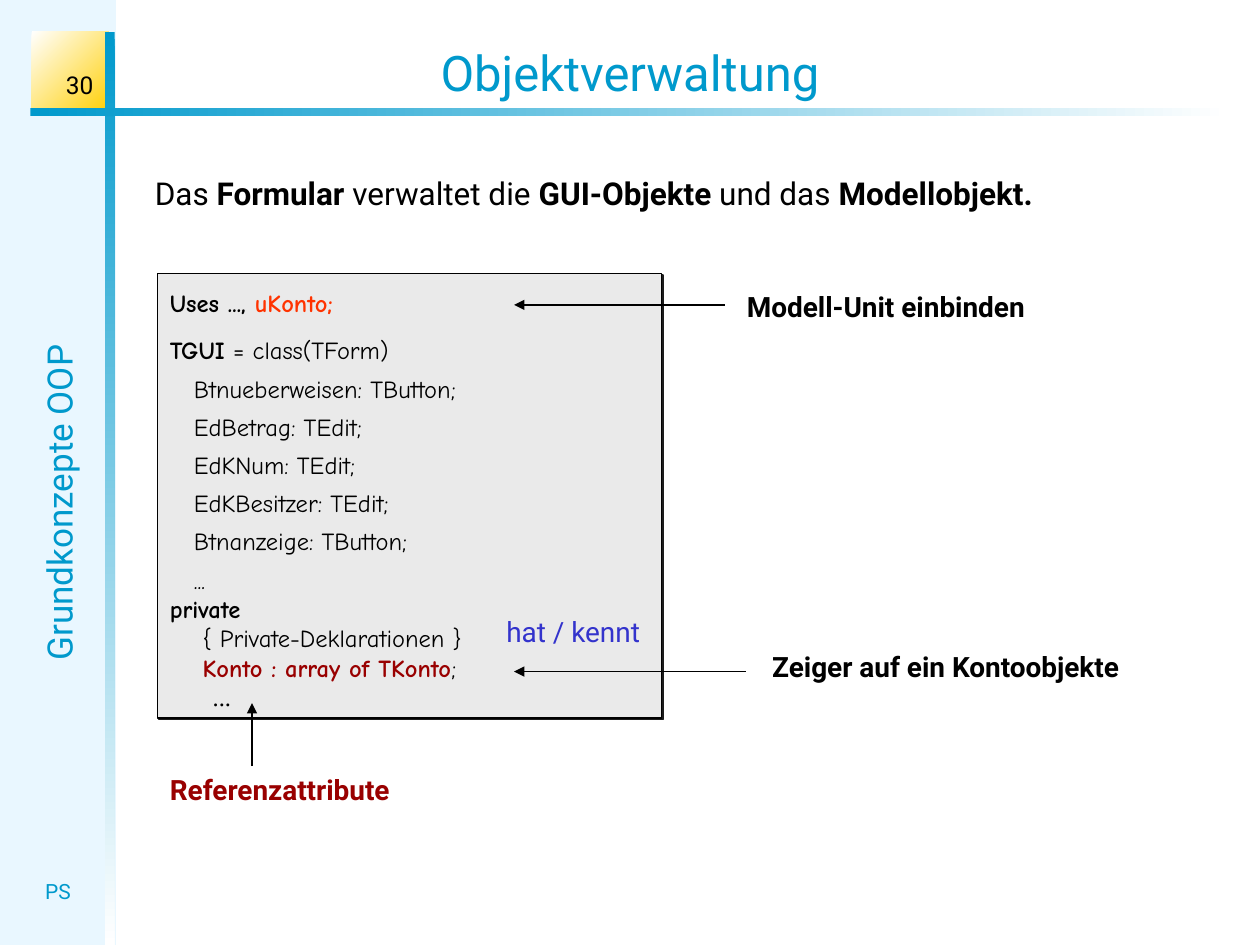
from lxml import etree
from pptx import Presentation
from pptx import util as u
from pptx.dml.color import RGBColor
from pptx.enum import shapes, text
from pptx.oxml.ns import qn

BLUE, BLACK, WHITE, DARK_RED = "0099CC", "000000", "FFFFFF", "990000"
SANS, CODE, SERIF = "Roboto", "Comic Neue", "Times New Roman"
LEFT, CENTER, RIGHT = text.PP_ALIGN.LEFT, text.PP_ALIGN.CENTER, text.PP_ALIGN.RIGHT


def rgb(value):
    return RGBColor.from_string(value)


class Painter:
    """Holds the text style and the page being drawn."""

    def __init__(self, page, font=SANS, color=BLACK):
        self.page, self.font, self.color = page, font, color

    def rect(self, left, top, width, height, fill=None):
        box = self.page.shapes.add_shape(
            shapes.MSO_SHAPE.RECTANGLE, *map(u.Inches, (left, top, width, height)))
        box.shadow.inherit = False
        box.line.fill.background()
        if fill:
            box.fill.solid()
            box.fill.fore_color.rgb = rgb(fill)
        return box

    def gradient(self, left, top, width, height, start, end, angle):
        """Draw a two-colour rectangle; the angle runs counter-clockwise."""
        box = self.rect(left, top, width, height)
        box.fill.gradient()
        box.fill.gradient_angle = angle
        for stop, color in zip(box.fill.gradient_stops, (start, end)):
            stop.color.rgb = rgb(color)

    def span(self, para, words, size, color=None, bold=False, font=None):
        span = para.add_run()
        span.text = words
        span.font.size = u.Pt(size)
        span.font.name = font or self.font
        span.font.bold = bold
        span.font.color.rgb = rgb(color or self.color)

    def label(self, left, top, width, height, spans, size, align=LEFT,
              before=0, anchor=text.MSO_ANCHOR.TOP):
        box = self.page.shapes.add_textbox(*map(u.Inches, (left, top, width, height)))
        frame = box.text_frame
        frame.word_wrap = True
        frame.vertical_anchor = anchor
        para = frame.paragraphs[0]
        para.alignment = align
        para.space_before = u.Pt(before)
        for words, *style in spans:
            self.span(para, words, size, *style)
        return box

    def code(self, left, top, width, height, lines, size):
        """Draw a shadowed listing from (indent, line spacing, spans) lines."""
        box = self.rect(left, top, width, height, "EAEAEA")
        box.line.color.rgb = rgb(BLACK)
        box.line.width = u.Pt(0.75)
        effects = box._element.spPr.find(qn("a:effectLst"))
        shadow = etree.SubElement(effects, qn("a:outerShdw"), dist=str(u.Pt(1.4)),
                                  dir="2700000", algn="ctr", rotWithShape="0")
        etree.SubElement(shadow, qn("a:srgbClr"), val="1C1C1C")
        frame = box.text_frame
        frame.word_wrap = True
        frame.vertical_anchor = text.MSO_ANCHOR.TOP
        for number, (indent, spacing, spans) in enumerate(lines):
            para = frame.add_paragraph() if number else frame.paragraphs[0]
            para.alignment = LEFT
            para.line_spacing = spacing
            para._p.get_or_add_pPr().set("marL", str(u.Inches(indent)))
            for words, color, bold, font in spans:
                self.span(para, words, size, color, bold, font)

    def arrow(self, x1, y1, x2, y2):
        line = self.page.shapes.add_connector(
            shapes.MSO_CONNECTOR.STRAIGHT, *map(u.Inches, (x1, y1, x2, y2)))
        line.line.color.rgb = rgb(BLACK)
        line.line.width = u.Pt(0.75)
        etree.SubElement(line.line._get_or_add_ln(), qn("a:tailEnd"), type="triangle")
        etree.SubElement(line._element.spPr, qn("a:effectLst"))


def plain(words, color=BLACK, font=CODE):
    return words, color, False, font


def strong(words, color=BLACK):
    return words, color, True, CODE


def main():
    deck = Presentation()
    deck.slide_width, deck.slide_height = u.Inches(10), u.Inches(7.5)
    page = deck.slides.add_slide(deck.slide_layouts[6])
    paint = Painter(page)
    bottom = text.MSO_ANCHOR.BOTTOM

    # Frame of the page
    paint.rect(0, 0, 0.92, 7.5, "E9F7FF")
    paint.gradient(0.25, 0.25, 0.61, 0.67, WHITE, "FFCF01", 315)
    paint.gradient(0.83, 0.25, 0.08, 7.25, BLUE, WHITE, 270)
    topic = paint.label(-2.46, 3.77, 5.86, 0.44, [("Grundkonzepte OOP", BLUE)], 20,
                        CENTER, 12.5)
    topic.rotation = 270
    paint.gradient(0.24, 0.86, 9.51, 0.06, BLUE, WHITE, 0)
    paint.label(0.17, 6.92, 0.58, 0.3, [("PS", BLUE)], 12, CENTER, 7.5)
    paint.label(0.08, 0.42, 0.76, 0.42, [("30",)], 14, RIGHT, anchor=bottom)
    paint.label(0, 0.28, 10, 0.57, [("Objektverwaltung", BLUE)], 28, CENTER, anchor=bottom)

    paint.label(1.13, 1.33, 7.91, 0.44, [
        ("Das ",), ("Formular", BLACK, True), (" verwaltet die ",),
        ("GUI-Objekte", BLACK, True), (" und das ",), ("Modellobjekt.", BLACK, True)], 18)

    fields = ("Btnueberweisen: TButton;", "EdBetrag: TEdit;", "EdKNum: TEdit;",
              "EdKBesitzer: TEdit;", "Btnanzeige: TButton;", "...")
    paint.code(1.25, 2.17, 4, 3.53, [
        (0, 1.3, [strong("Uses ..., "), strong("uKonto;", "FF3300")]),
        (0, 1.6, [strong("TGUI"), plain(" = class(TForm)")]),
        *[(0.19, 1.3, [plain(field)]) for field in fields],
        (0, 1, [strong("private")]),
        (0.26, 1, [plain("{ Private-Deklarationen }")]),
        (0.26, 1, [strong("Konto : array of TKonto", DARK_RED), plain(";")]),
        (0.34, 1, [plain("...", font=SERIF)]),
    ], 14)

    # Remarks on the listing
    paint.label(1.25, 6.08, 2.19, 0.37, [("Referenzattribute", DARK_RED, True)], 16)
    paint.label(6.03, 5.11, 3.28, 0.37, [("Zeiger auf ein Kontoobjekte", BLACK, True)], 16)
    paint.arrow(2, 6.08, 2, 5.58)
    paint.label(3.92, 4.83, 1.42, 0.37, [("hat / kennt", "3333CC")], 16, before=10)
    paint.label(5.83, 2.25, 2.75, 0.37, [("Modell-Unit einbinden", BLACK, True)], 16)
    paint.arrow(5.92, 5.33, 4.08, 5.33)
    paint.arrow(5.75, 2.42, 4.08, 2.42)

    deck.save("out.pptx")


if __name__ == "__main__":
    main()
